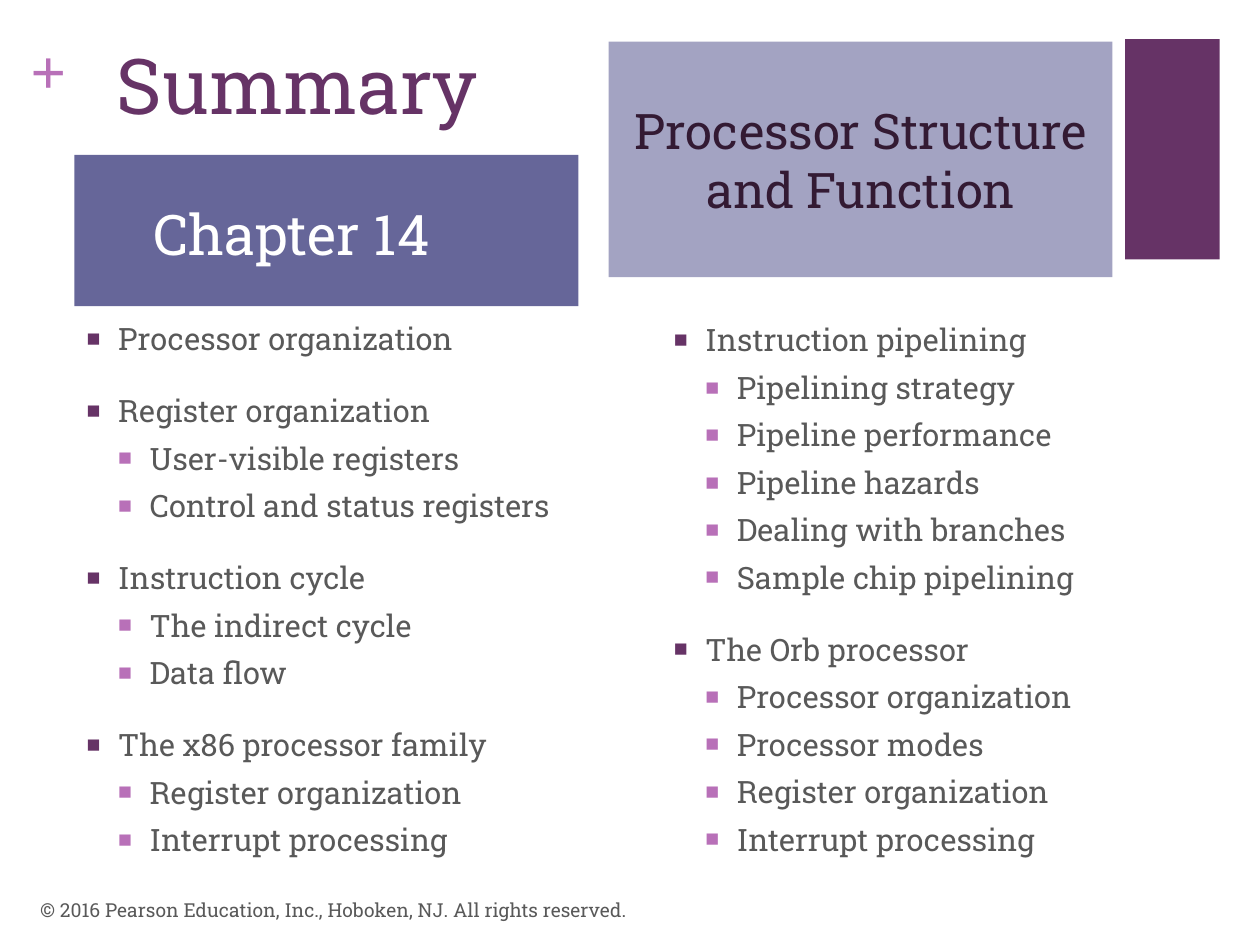
from lxml import etree
from pptx import Presentation
from pptx.dml.color import RGBColor
from pptx.enum.shapes import MSO_SHAPE as Shape
from pptx.enum.text import MSO_ANCHOR as Anchor, PP_ALIGN as Align
from pptx.oxml.ns import qn
from pptx.util import Inches, Pt

PLUM = RGBColor(0x66, 0x33, 0x66)
ORCHID = RGBColor(0xB8, 0x70, 0xB8)
SLATE = RGBColor(0x66, 0x66, 0x99)
LILAC = RGBColor(0xA3, 0xA3, 0xC2)
DARK = RGBColor(0x33, 0x1A, 0x33)
GRAY = RGBColor(0x59, 0x59, 0x59)
WHITE = RGBColor(0xFF, 0xFF, 0xFF)
SLAB = "Roboto Slab"

LEFT = [
    ("Processor organization", []),
    ("Register organization",
     ["User-visible registers", "Control and status registers"]),
    ("Instruction cycle", ["The indirect cycle", "Data flow"]),
    ("The x86 processor family",
     ["Register organization", "Interrupt processing"]),
]
RIGHT = [
    ("Instruction pipelining",
     ["Pipelining strategy", "Pipeline performance", "Pipeline hazards",
      "Dealing with branches", "Sample chip pipelining"]),
    ("The Orb processor",
     ["Processor organization", "Processor modes",
      "Register organization", "Interrupt processing"]),
]


def add_run(para, text, size, color, font=SLAB, bold=False):
    """Add one styled run to a paragraph."""
    run = para.add_run()
    run.text = text
    run.font.name = font
    run.font.size = Pt(size)
    run.font.bold = bold
    run.font.color.rgb = color


def add_text(slide, box, text, size, color, anchor=Anchor.TOP, pad=0.1, **style):
    """Place a single line of text in a box."""
    frame = slide.shapes.add_textbox(*map(Inches, box)).text_frame
    frame.word_wrap = True
    frame.vertical_anchor = anchor
    frame.margin_left = frame.margin_right = Inches(pad)
    frame.margin_top = frame.margin_bottom = Inches(pad / 2)
    add_run(frame.paragraphs[0], text, size, color, **style)


def add_block(slide, box, fill):
    """Place a plain filled rectangle and return it."""
    block = slide.shapes.add_shape(Shape.RECTANGLE, *map(Inches, box))
    block.shadow.inherit = False
    block.fill.solid()
    block.fill.fore_color.rgb = fill
    block.line.fill.background()
    return block


def add_banner(slide, box, fill, text, size, color, top=0, right=0.1):
    """Place a filled banner with centred text."""
    frame = add_block(slide, box, fill).text_frame
    frame.word_wrap = True
    frame.vertical_anchor = Anchor.MIDDLE
    frame.margin_left, frame.margin_right = Inches(0.1), Inches(right)
    frame.margin_top, frame.margin_bottom = Inches(top), 0
    para = frame.paragraphs[0]
    para.alignment = Align.CENTER
    add_run(para, text, size, color)


def add_bullet(para, level, color):
    """Give a paragraph a square bullet and a hanging indent."""
    para.level = level
    props = para._p.get_or_add_pPr()
    props.set("marL", str(Inches(0.25 * (level + 1))))
    props.set("indent", str(Inches(-0.25)))
    tint = etree.SubElement(props, qn("a:buClr"))
    etree.SubElement(tint, qn("a:srgbClr"), val=str(color))
    etree.SubElement(props, qn("a:buSzPct"), val="75000")
    etree.SubElement(props, qn("a:buFont"), typeface="Arial")
    etree.SubElement(props, qn("a:buChar"), char="■")


def add_list(slide, box, topics):
    """Place a two-level bullet list in a box."""
    frame = slide.shapes.add_textbox(*map(Inches, box)).text_frame
    frame.word_wrap = True
    rows = [row for head, subs in topics
            for row in [(head, 0)] + [(sub, 1) for sub in subs]]
    for num, (text, level) in enumerate(rows):
        para = frame.add_paragraph() if num else frame.paragraphs[0]
        if num:
            para.space_before = Pt(6 if level else 20)
        add_bullet(para, level, ORCHID if level else PLUM)
        add_run(para, text, 17.6, GRAY)


def add_header(slide, left, top):
    """Place the title, banners and accents from a top-left corner."""
    add_block(slide, (left + 8.71, top + 0.06, 0.75, 1.75), PLUM)
    add_text(slide, (left + 0.02, top, 0.29, 0.61), "+", 36, ORCHID,
             pad=0, font="Times New Roman", bold=True)
    add_text(slide, (left + 0.61, top, 4.45, 1.22), "Summary", 44, PLUM)
    add_banner(slide, (left + 0.37, top + 0.98, 4, 1.2), SLATE,
               "Chapter 14", 32, WHITE, top=0.04, right=0.65)
    add_banner(slide, (left + 4.61, top + 0.08, 4, 1.87), LILAC,
               "Processor Structure and Function", 28, DARK)


def main():
    """Build and save the slide."""
    deck = Presentation()
    deck.slide_width, deck.slide_height = Inches(10), Inches(7.5)
    slide = deck.slides.add_slide(deck.slide_layouts[6])
    add_header(slide, 0.22, 0.25)
    add_list(slide, (0.59, 2.49, 4, 4.88), LEFT)
    add_list(slide, (5.25, 2.5, 4, 4.5), RIGHT)
    add_text(slide, (0.22, 7.02, 6.7, 0.4),
             "© 2016 Pearson Education, Inc., Hoboken, NJ. All rights reserved.",
             11, GRAY, anchor=Anchor.MIDDLE)
    deck.save("out.pptx")


if __name__ == "__main__":
    main()
